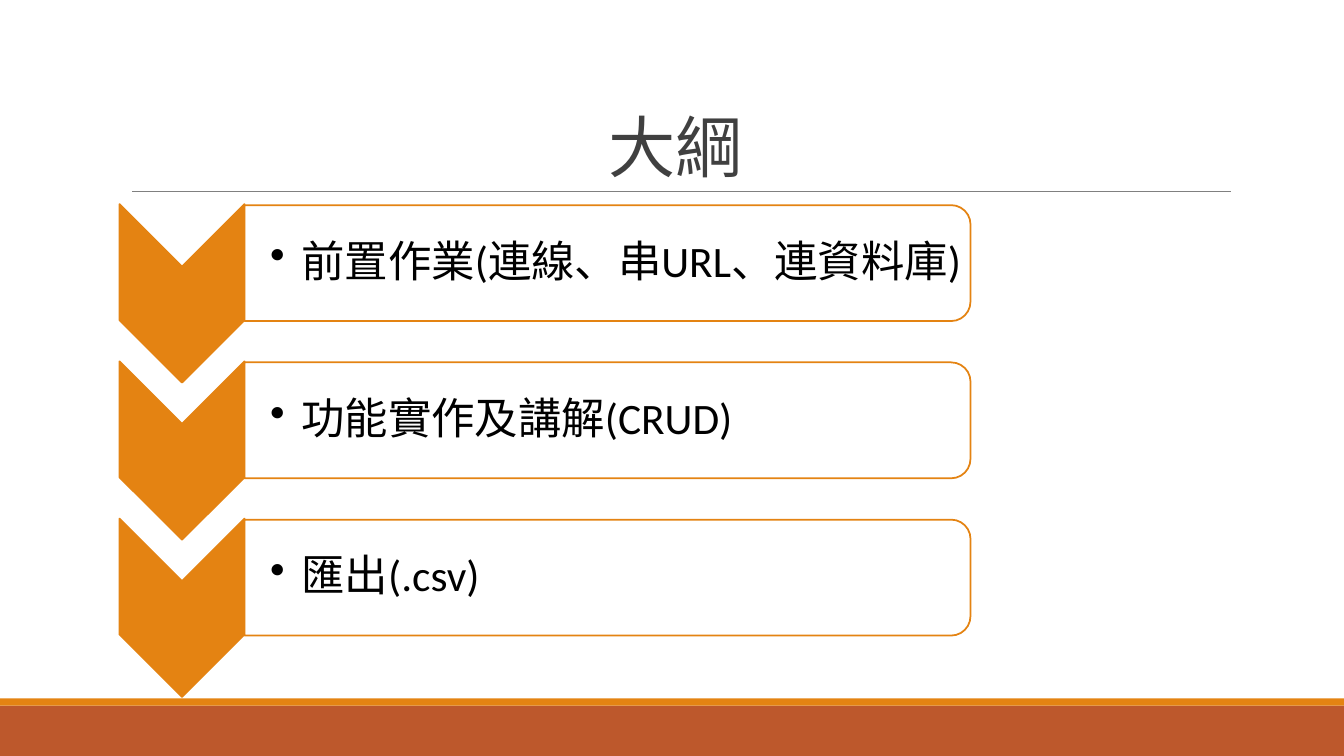
from dataclasses import dataclass

from lxml import etree
from pptx import Presentation
from pptx.dml.color import RGBColor
from pptx.enum.shapes import MSO_CONNECTOR, MSO_SHAPE
from pptx.enum.text import MSO_ANCHOR, PP_ALIGN
from pptx.oxml.ns import qn
from pptx.shapes.autoshape import Shape
from pptx.slide import Slide
from pptx.text.text import TextFrame
from pptx.util import Emu, Pt

EMU_PER_PX = 9144  # 100 px to the inch
COLORS = {
    "orange": "E48312",
    "rust": "BD582C",
    "rule": "808080",
    "title": "404040",
    "text": "000000",
    "panel": "FFFFFF",
}
FONT = "Calibri"
STEPS = ["前置作業(連線、串URL、連資料庫)", "功能實作及講解(CRUD)", "匯出(.csv)"]
STEP_PITCH = 156


@dataclass(frozen=True)
class Box:
    left: int
    top: int
    width: int
    height: int

    def down(self, distance: int) -> "Box":
        return Box(self.left, self.top + distance, self.width, self.height)

    def quarter_turned(self) -> "Box":
        """Swap width and height around the same centre."""
        shift = (self.width - self.height) // 2
        return Box(self.left + shift, self.top - shift, self.height, self.width)

    def emu(self) -> list[Emu]:
        return [px(n) for n in (self.left, self.top, self.width, self.height)]


CHEVRON = Box(119, 202, 124, 177)
PANEL = Box(243, 203, 720, 115)
LABEL = Box(244, 209, 714, 104)


def px(length: int) -> Emu:
    return Emu(length * EMU_PER_PX)


def color(name: str) -> RGBColor:
    return RGBColor.from_string(COLORS[name])


def add_filled(slide: Slide, kind: MSO_SHAPE, box: Box, fill: str) -> Shape:
    shape = slide.shapes.add_shape(kind, *box.emu())
    shape.shadow.inherit = False
    shape.fill.solid()
    shape.fill.fore_color.rgb = color(fill)
    shape.line.fill.background()
    return shape


def add_turned(slide: Slide, kind: MSO_SHAPE, box: Box, fill: str) -> Shape:
    """Fill the given box with an outlined shape turned by 90 degrees."""
    shape = add_filled(slide, kind, box.quarter_turned(), fill)
    shape.rotation = 90
    shape.line.color.rgb = color("orange")
    shape.line.width = Pt(1.25)
    return shape


def add_text(slide: Slide, box: Box, text: str, size: int, fill: str) -> TextFrame:
    frame = slide.shapes.add_textbox(*box.emu()).text_frame
    frame.word_wrap = True
    paragraph = frame.paragraphs[0]
    paragraph.text = text
    paragraph.font.name = FONT
    paragraph.font.size = Pt(size)
    paragraph.font.color.rgb = color(fill)
    return frame


def add_title(slide: Slide) -> None:
    frame = add_text(slide, Box(120, 31, 1100, 159), "大綱", 48, "title")
    frame.vertical_anchor = MSO_ANCHOR.BOTTOM
    paragraph = frame.paragraphs[0]
    paragraph.alignment = PP_ALIGN.CENTER
    paragraph.line_spacing = 0.85
    paragraph.runs[0].font._element.set("spc", "-50")


def add_rule(slide: Slide) -> None:
    rule = slide.shapes.add_connector(
        MSO_CONNECTOR.STRAIGHT, px(131), px(190), px(1221), px(190)
    )
    rule.line.color.rgb = color("rule")
    rule.line.width = Pt(0.5)
    etree.SubElement(rule._element.spPr, qn("a:effectLst"))


def add_bullet_label(slide: Slide, box: Box, text: str) -> None:
    frame = add_text(slide, box, text, 31, "text")
    frame.vertical_anchor = MSO_ANCHOR.MIDDLE
    frame.margin_left = px(24)
    frame.margin_top = frame.margin_right = frame.margin_bottom = px(2)
    paragraph = frame.paragraphs[0]
    paragraph.line_spacing = 0.9
    paragraph.space_after = Pt(5)
    properties = paragraph._p.get_or_add_pPr()
    properties.set("marL", str(px(31)))
    properties.set("indent", str(px(-31)))
    bullet = etree.Element(qn("a:buChar"), char="•")
    properties.find(qn("a:spcAft")).addnext(bullet)


def add_step(slide: Slide, index: int, text: str) -> None:
    offset = index * STEP_PITCH
    add_turned(slide, MSO_SHAPE.CHEVRON, CHEVRON.down(offset), "orange")
    panel = add_turned(
        slide, MSO_SHAPE.ROUND_2_SAME_RECTANGLE, PANEL.down(offset), "panel"
    )
    panel_color = panel._element.spPr.find(qn("a:solidFill"))[0]
    etree.SubElement(panel_color, qn("a:alpha"), val="90000")
    add_bullet_label(slide, LABEL.down(offset), text)


def main() -> None:
    presentation = Presentation()
    presentation.slide_width, presentation.slide_height = px(1333), px(750)
    slide = presentation.slides.add_slide(presentation.slide_layouts[6])
    add_filled(slide, MSO_SHAPE.RECTANGLE, Box(0, 700, 1333, 50), "rust")
    add_filled(slide, MSO_SHAPE.RECTANGLE, Box(0, 693, 1333, 7), "orange")
    add_rule(slide)
    add_title(slide)
    for index, text in enumerate(STEPS):
        add_step(slide, index, text)
    presentation.save("out.pptx")


if __name__ == "__main__":
    main()
